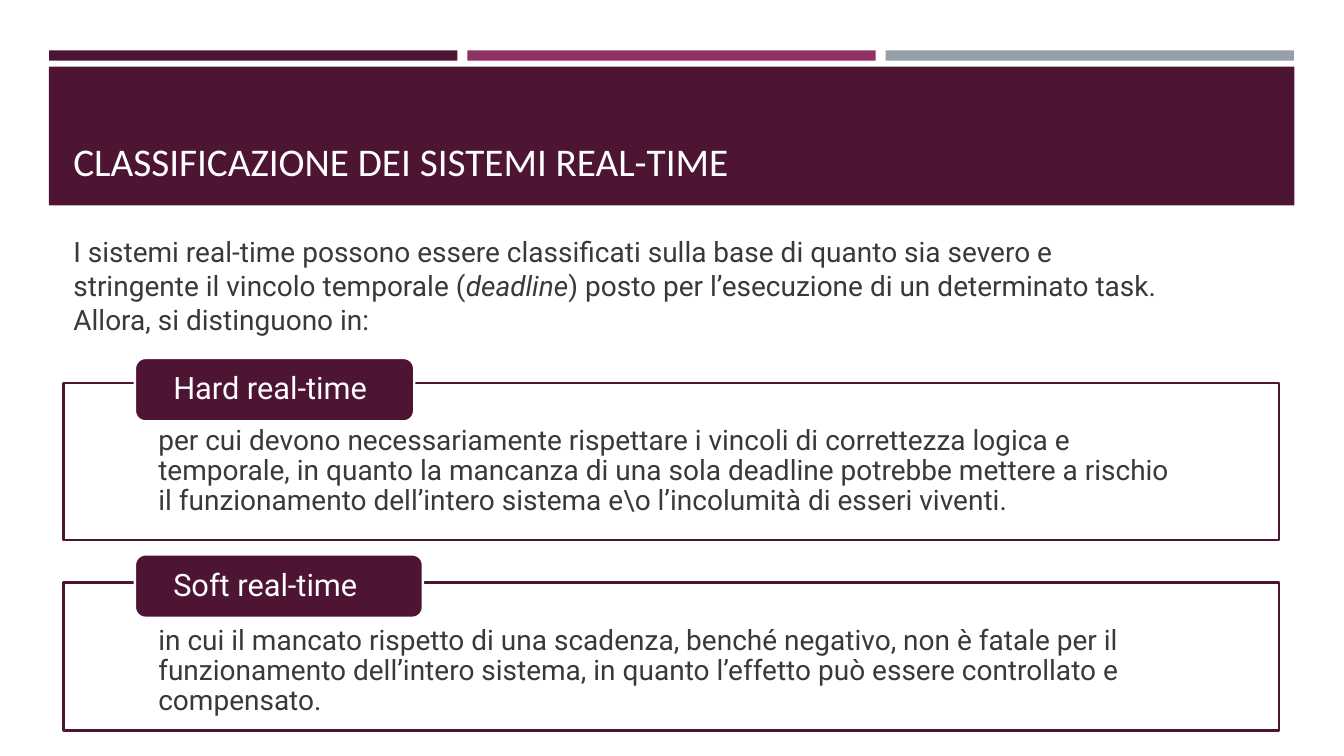
from pptx import Presentation
from pptx.dml.color import RGBColor
from pptx.enum.shapes import MSO_SHAPE
from pptx.enum.text import MSO_ANCHOR, PP_ALIGN
from pptx.util import Cm, Pt

RECT = MSO_SHAPE.RECTANGLE
ROUNDED = MSO_SHAPE.ROUNDED_RECTANGLE
TOP, MIDDLE, BOTTOM = MSO_ANCHOR.TOP, MSO_ANCHOR.MIDDLE, MSO_ANCHOR.BOTTOM
LEFT = PP_ALIGN.LEFT

TITLE = "CLASSIFICAZIONE DEI SISTEMI REAL-TIME"
INTRO = [
    [
        ("I sistemi real-time possono essere classificati sulla base di quanto "
         "sia severo e stringente il vincolo temporale (", False),
        ("deadline", True),
        (") posto per l’esecuzione di un determinato task.", False),
    ],
    [("Allora, si distinguono in:", False)],
]
CLASSES = [
    {
        "name": "Hard real-time",
        "text": "per cui devono necessariamente rispettare i vincoli di correttezza "
                "logica e temporale, in quanto la mancanza di una sola deadline "
                "potrebbe mettere a rischio il funzionamento dell’intero sistema "
                "e\\o l’incolumità di esseri viventi.",
        "panel": (9.65, 3.96),
        "tag": (9.02, 7.04),
    },
    {
        "name": "Soft real-time",
        "text": "in cui il mancato rispetto di una scadenza, benché negativo, non è "
                "fatale per il funzionamento dell’intero sistema, in quanto "
                "l’effetto può essere controllato e compensato.",
        "panel": (14.68, 3.73),
        "tag": (13.97, 7.26),
    },
]

THEME = {
    "plum": RGBColor(0x4D, 0x14, 0x34),
    "magenta": RGBColor(0x90, 0x31, 0x63),
    "grey": RGBColor(0x96, 0x9F, 0xA7),
    "white": RGBColor(0xFF, 0xFF, 0xFF),
    "ink": RGBColor(0x3B, 0x38, 0x38),
    "title_font": "Calibri",
    "body_font": "Roboto",
    "title_size": Pt(28),
    "tag_size": Pt(22),
    "body_size": Pt(20),
    "outline": Pt(1.75),
}

MARGIN = 1.6
CONTENT_W = 30.63
BAR_LEFT, BAR_W, BAR_PITCH = 1.24, 10.29, 10.54
TAG_LEFT, TAG_H = 3.4, 1.6


def add_box(s, kind, box, fill, line=None):
    sp = s.shapes.add_shape(kind, *map(Cm, box))
    sp.shadow.inherit = False
    sp.fill.solid()
    sp.fill.fore_color.rgb = THEME[fill]
    if line:
        sp.line.color.rgb = THEME[line]
        sp.line.width = THEME["outline"]
    else:
        sp.line.fill.background()
    return sp


def write(sp, paragraphs, role, color, font="body_font", anchor=TOP,
          insets=(0.25, 0.13, 0.25, 0.13), spacing=None, after=0):
    tf = sp.text_frame
    tf.word_wrap = True
    tf.vertical_anchor = anchor
    tf.margin_left, tf.margin_top, tf.margin_right, tf.margin_bottom = map(Cm, insets)
    for i, runs in enumerate(paragraphs):
        p = tf.add_paragraph() if i else tf.paragraphs[0]
        p.alignment = LEFT
        p.space_after = Pt(after)
        if spacing:
            p.line_spacing = spacing
        p.font.name = THEME[font]
        p.font.size = THEME[role]
        p.font.color.rgb = THEME[color]
        for text, italic in runs:
            r = p.add_run()
            r.text = text
            if italic:
                r.font.italic = True


def add_text(s, box, *args, **kwargs):
    write(s.shapes.add_textbox(*map(Cm, box)), *args, **kwargs)


def main():
    prs = Presentation()
    prs.slide_width, prs.slide_height = Cm(33.87), Cm(19.05)
    s = prs.slides.add_slide(prs.slide_layouts[6])

    for i, color in enumerate(("plum", "magenta", "grey")):
        add_box(s, RECT, (BAR_LEFT + i * BAR_PITCH, 1.27, BAR_W, 0.26), color)
    add_box(s, RECT, (1.23, 1.68, 31.39, 3.5), "plum")
    add_text(s, (MARGIN, 2.03, CONTENT_W, 2.74), [[(TITLE, False)]],
             "title_size", "white", font="title_font", anchor=BOTTOM)
    add_text(s, (MARGIN, 5.79, 28.24, 3.63), INTRO, "body_size", "ink")

    for item in CLASSES:
        top, height = item["panel"]
        panel = add_box(s, RECT, (MARGIN, top, CONTENT_W, height), "white", "plum")
        write(panel, [[(item["text"], False)]], "body_size", "ink",
              insets=(2.39, 1.09, 2.39, 0.41), spacing=0.9, after=4)
        top, width = item["tag"]
        tag = add_box(s, ROUNDED, (TAG_LEFT, top, width, TAG_H), "plum", "white")
        write(tag, [[(item["name"], False)]], "tag_size", "white", anchor=MIDDLE,
              insets=(0.89, 0.08, 0.89, 0.08), spacing=0.9, after=9)

    prs.save("out.pptx")


if __name__ == "__main__":
    main()
